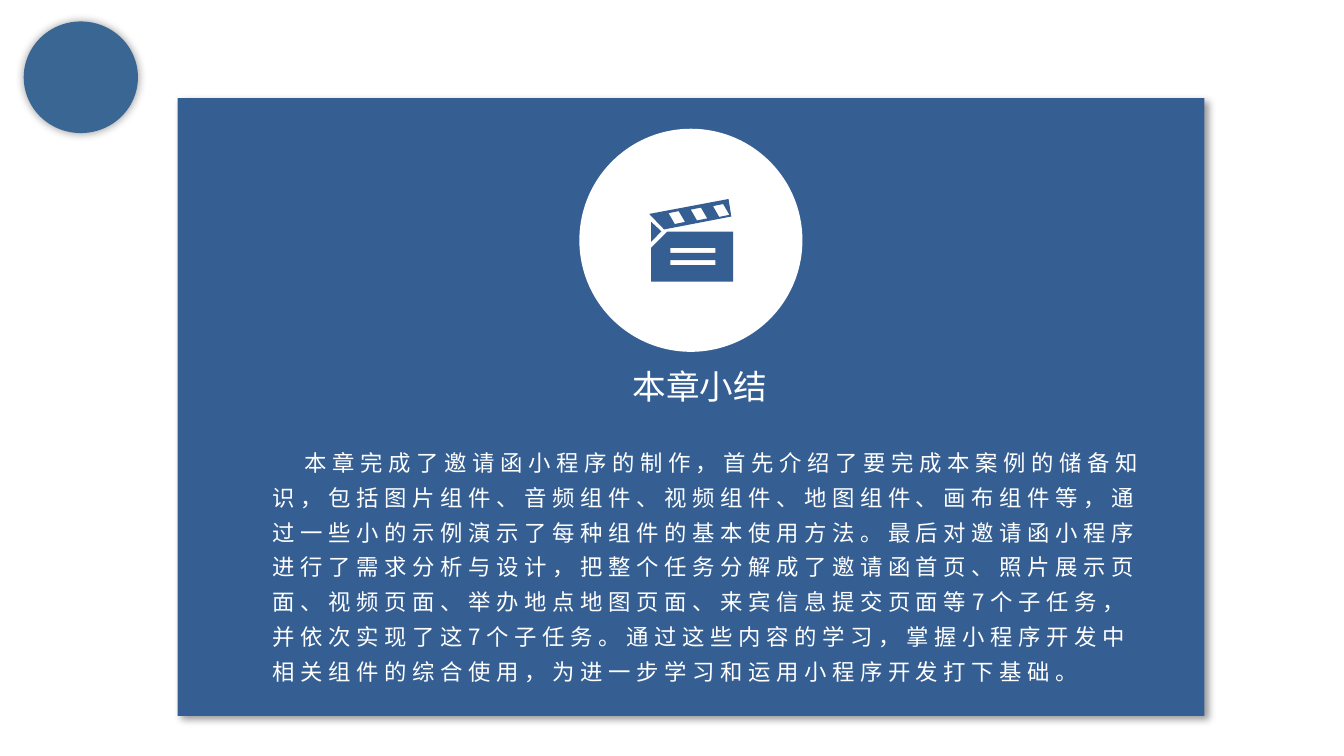
from dataclasses import dataclass

from lxml import etree
from pptx import Presentation
from pptx import util as u
from pptx.dml.color import RGBColor
from pptx.enum import shapes, text
from pptx.oxml.ns import qn


@dataclass(frozen=True)
class Theme:
    panel: str = "355F93"
    badge: str = "396692"
    light: str = "FFFFFF"
    shadow: str = "000000"
    font: str = "Noto Sans CJK SC"
    title: float = 18
    body: float = 12


T = Theme()
TITLE = "本章小结"
SUMMARY = (
    "本章完成了邀请函小程序的制作，首先介绍了要完成本案例的储备知识，"
    "包括图片组件、音频组件、视频组件、地图组件、画布组件等，"
    "通过一些小的示例演示了每种组件的基本使用方法。"
    "最后对邀请函小程序进行了需求分析与设计，"
    "把整个任务分解成了邀请函首页、照片展示页面、视频页面、举办地点地图页面、"
    "来宾信息提交页面等7个子任务，并依次实现了这7个子任务。"
    "通过这些内容的学习，掌握小程序开发中相关组件的综合使用，"
    "为进一步学习和运用小程序开发打下基础。"
)


def paint(sp, color):
    """Solid fill, no outline, no shadow."""
    sp.fill.solid()
    sp.fill.fore_color.rgb = RGBColor.from_string(color)
    sp.line.fill.background()
    sp.shadow.inherit = False
    return sp


def add_shape(parent, kind, box, color):
    return paint(parent.add_shape(kind, *map(u.Pt, box)), color)


def add_shadow(sp, blur, dist=0, angle=0, opacity=40):
    effects = sp._element.spPr.find(qn("a:effectLst"))
    shadow = etree.SubElement(
        effects, qn("a:outerShdw"), blurRad=str(u.Pt(blur)),
        dist=str(u.Pt(dist)), dir=str(angle * 60000), rotWithShape="0")
    color = etree.SubElement(shadow, qn("a:srgbClr"), val=T.shadow)
    etree.SubElement(color, qn("a:alpha"), val=str(opacity * 1000))


def add_text(parent, box, content, size, wrap=True, inset=(7.2, 3.6),
             line_spacing=None, before=0, indent=0, tracking=0):
    tf = parent.add_textbox(*map(u.Pt, box)).text_frame
    tf.word_wrap = wrap
    tf.auto_size = text.MSO_AUTO_SIZE.SHAPE_TO_FIT_TEXT if wrap else text.MSO_AUTO_SIZE.NONE
    tf.margin_left = tf.margin_right = u.Pt(inset[0])
    tf.margin_top = tf.margin_bottom = u.Pt(inset[1])
    p = tf.paragraphs[0]
    p.space_before = u.Pt(before)
    if line_spacing:
        p.line_spacing = line_spacing
    if indent:
        p._p.get_or_add_pPr().set("indent", str(u.Pt(indent)))
    r = p.add_run()
    r.text = content
    r.font.size = u.Pt(size)
    r.font.name = T.font
    r.font.color.rgb = RGBColor.from_string(T.light)
    rPr = r._r.get_or_add_rPr()
    etree.SubElement(rPr, qn("a:ea"), typeface=T.font)
    if tracking:
        rPr.set("spc", str(tracking * 100))


def add_outline(parent, contours, left, top, color):
    """One freeform made of several closed contours."""
    contours = [[(u.Pt(x), u.Pt(y)) for x, y in c] for c in contours]
    first, *rest = contours
    builder = parent.build_freeform(*first[0], scale=1.0)
    builder.add_line_segments(first[1:], close=True)
    for contour in rest:
        builder.move_to(*contour[0])
        builder.add_line_segments(contour[1:], close=True)
    return paint(builder.convert_to_shape(u.Pt(left), u.Pt(top)), color)


def clapper_contours():
    arm = [(42.5, 0), (44, 9.4), (8, 16.3), (0, 8)]
    hinge = [(1, 12.2), (6.5, 17.3), (1, 23)]
    board = [(9.7, 17.5), (44.9, 17.5), (44.9, 44.3), (1, 44.3), (1, 26.2)]
    bars = [[(11.3, y), (11.3, y + 2.7), (35.5, y + 2.7), (35.5, y)]
            for y in (26.2, 32.7)]
    stripe = [(15.8, 6.5), (10.4, 7.6), (13.7, 13.4), (19.2, 12.3)]
    stripes = [[(x + 11.9 * i, y - 1.9 * i) for x, y in stripe] for i in range(3)]
    return [arm, hinge, board, *bars, *stripes]


def main():
    prs = Presentation()
    prs.slide_width, prs.slide_height = u.Pt(720), u.Pt(405)
    s = prs.slides.add_slide(prs.slide_layouts[6])
    rect, oval = shapes.MSO_SHAPE.RECTANGLE, shapes.MSO_SHAPE.OVAL

    # Panel with title and summary
    panel = add_shape(s.shapes, rect, (95.2, 52.6, 550, 331), T.panel)
    add_shadow(panel, blur=4, dist=3, angle=45)
    add_text(s.shapes, (331.8, 195.8, 95, 29.5), TITLE, T.title,
             wrap=False, inset=(7.2, 0))
    add_text(s.shapes, (139, 232.6, 487.4, 139.7), SUMMARY, T.body,
             line_spacing=1.3, before=8, indent=17, tracking=3)

    # Clapperboard on a white disc
    icon = s.shapes.add_group_shape().shapes
    add_shape(icon, oval, (310.4, 69, 119.5, 119.5), T.light)
    add_outline(icon, clapper_contours(), 347.8, 106.6, T.panel)

    # Corner badge
    badge = add_shape(s.shapes, oval, (12.7, 11.5, 61.2, 59.8), T.badge)
    add_shadow(badge, blur=5)

    prs.save("out.pptx")


if __name__ == "__main__":
    main()
